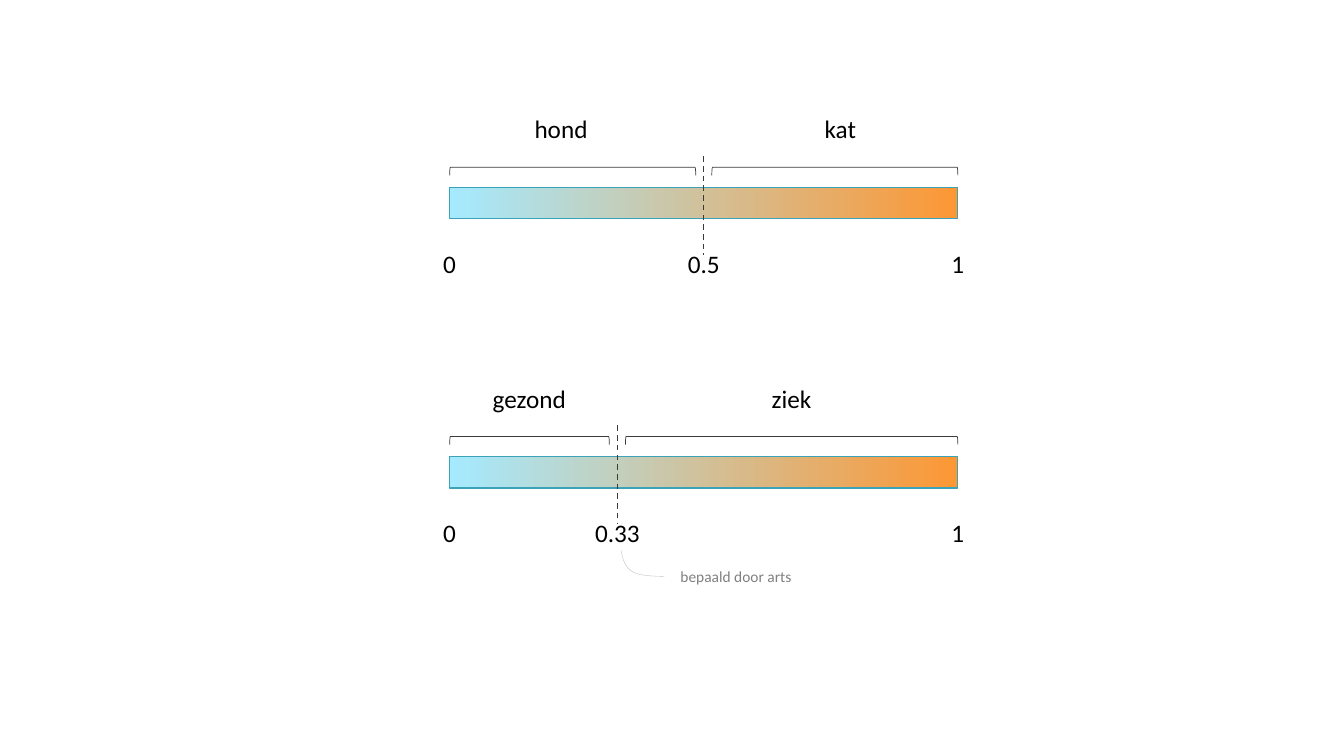
from lxml import etree
from pptx import Presentation
from pptx.dml.color import RGBColor
from pptx.enum.dml import MSO_LINE
from pptx.enum.shapes import MSO_CONNECTOR, MSO_SHAPE
from pptx.enum.text import MSO_AUTO_SIZE, PP_ALIGN
from pptx.oxml.ns import qn
from pptx.util import Inches, Pt

STRAIGHT = MSO_CONNECTOR.STRAIGHT
RECTANGLE = MSO_SHAPE.RECTANGLE
LEFT_BRACKET = MSO_SHAPE.LEFT_BRACKET
DASH = MSO_LINE.DASH
FIT_SHAPE = MSO_AUTO_SIZE.SHAPE_TO_FIT_TEXT
LEFT, CENTER = PP_ALIGN.LEFT, PP_ALIGN.CENTER

FONT = "Calibri"
INK = "3A3A3A"


def color(hex_value):
    return RGBColor.from_string(hex_value)


def set_line(item, hex_value, width):
    item.line.color.rgb = color(hex_value)
    item.line.width = Pt(width)


def add_label(slide, words, left, top, width, height=0.4,
              size=18, ink="000000", align=CENTER):
    label = slide.shapes.add_textbox(
        Inches(left), Inches(top), Inches(width), Inches(height))
    frame = label.text_frame
    frame.word_wrap = False
    frame.auto_size = FIT_SHAPE
    frame.text = words
    paragraph = frame.paragraphs[0]
    paragraph.alignment = align
    font = paragraph.runs[0].font
    font.name = FONT
    font.size = Pt(size)
    font.color.rgb = color(ink)


def add_bracket(slide, start, end, middle):
    depth, span = 0.08, end - start
    bracket = slide.shapes.add_shape(
        LEFT_BRACKET,
        Inches((start + end - depth) / 2), Inches(middle - span / 2),
        Inches(depth), Inches(span))
    bracket.rotation = 90
    bracket.shadow.inherit = False
    bracket.fill.background()
    set_line(bracket, INK, 0.5)


def add_scale(slide, left, top, width, threshold, threshold_width, classes):
    right = left + width
    split = left + width * threshold
    gap = 0.08

    bar = slide.shapes.add_shape(
        RECTANGLE, Inches(left), Inches(top + 0.78), Inches(width), Inches(0.31))
    bar.shadow.inherit = False
    bar.fill.gradient()
    bar.fill.gradient_angle = 0
    for stop, shade in zip(bar.fill.gradient_stops, ("A5EAFF", "FD9734")):
        stop.color.rgb = color(shade)
    set_line(bar, "3BA2B8", 1)

    divider = slide.shapes.add_connector(
        STRAIGHT, Inches(split), Inches(top + 0.47), Inches(split), Inches(top + 1.45))
    etree.SubElement(divider._element.spPr, qn("a:effectLst"))
    set_line(divider, INK, 1)
    divider.line.dash_style = DASH

    ticks = ((0, 0.33), (threshold, threshold_width), (1, 0.33))
    for value, tick_width in ticks:
        center = left + width * value
        add_label(slide, str(value), center - tick_width / 2, top + 1.33, tick_width)

    for name, name_left, name_width in classes:
        add_label(slide, name, name_left, top, name_width)
    for start, end in ((left, split - gap), (split + gap, right)):
        add_bracket(slide, start, end, top + 0.62)


def add_threshold_note(slide, left, top):
    controls = ((0.43, 0.26), (0.16, 0.25), (0.04, 0.25), (0, 0))
    steps = 24
    points = []
    for step in range(steps + 1):
        t = step / steps
        weights = ((1 - t) ** 3, 3 * t * (1 - t) ** 2, 3 * t ** 2 * (1 - t), t ** 3)
        points.append((
            Inches(left + sum(w * x for w, (x, y) in zip(weights, controls))),
            Inches(top + sum(w * y for w, (x, y) in zip(weights, controls)))))
    builder = slide.shapes.build_freeform(*points[0])
    builder.add_line_segments(points[1:], close=False)
    pointer = builder.convert_to_shape()
    pointer.shadow.inherit = False
    pointer.fill.background()
    set_line(pointer, "BFBFBF", 0.25)
    add_label(slide, "bepaald door arts", left + 0.49, top + 0.12, 1.31, 0.29,
              size=11, ink="808080", align=LEFT)


def main():
    prs = Presentation()
    prs.slide_width, prs.slide_height = Inches(13.33), Inches(7.5)
    slide = prs.slides.add_slide(prs.slide_layouts[6])
    add_scale(slide, 4.46, 1.08, 5.04, 0.5, 0.52,
              (("hond", 5.2, 0.73), ("kat", 8.08, 0.51)))
    add_scale(slide, 4.46, 3.75, 5.04, 0.33, 0.65,
              (("gezond", 4.78, 0.94), ("ziek", 7.55, 0.6)))
    add_threshold_note(slide, 6.16, 5.46)
    prs.save("out.pptx")


if __name__ == "__main__":
    main()
